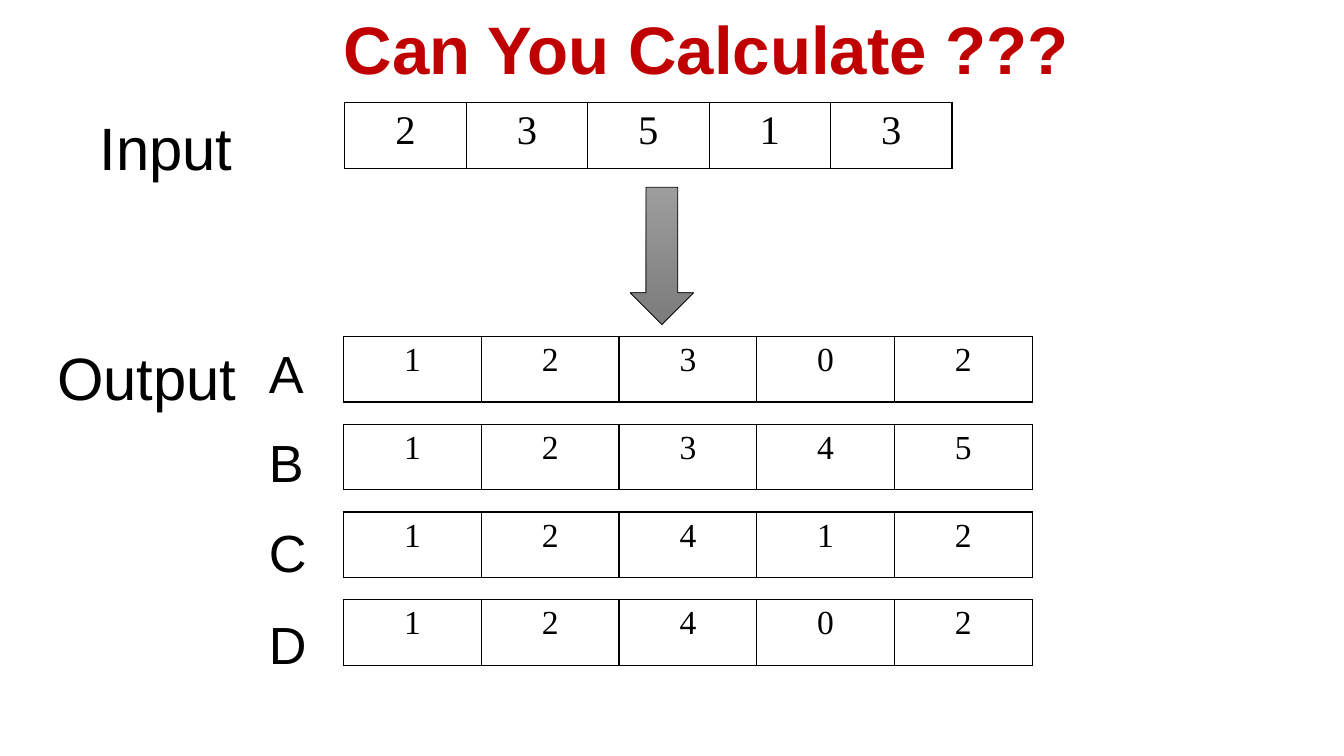
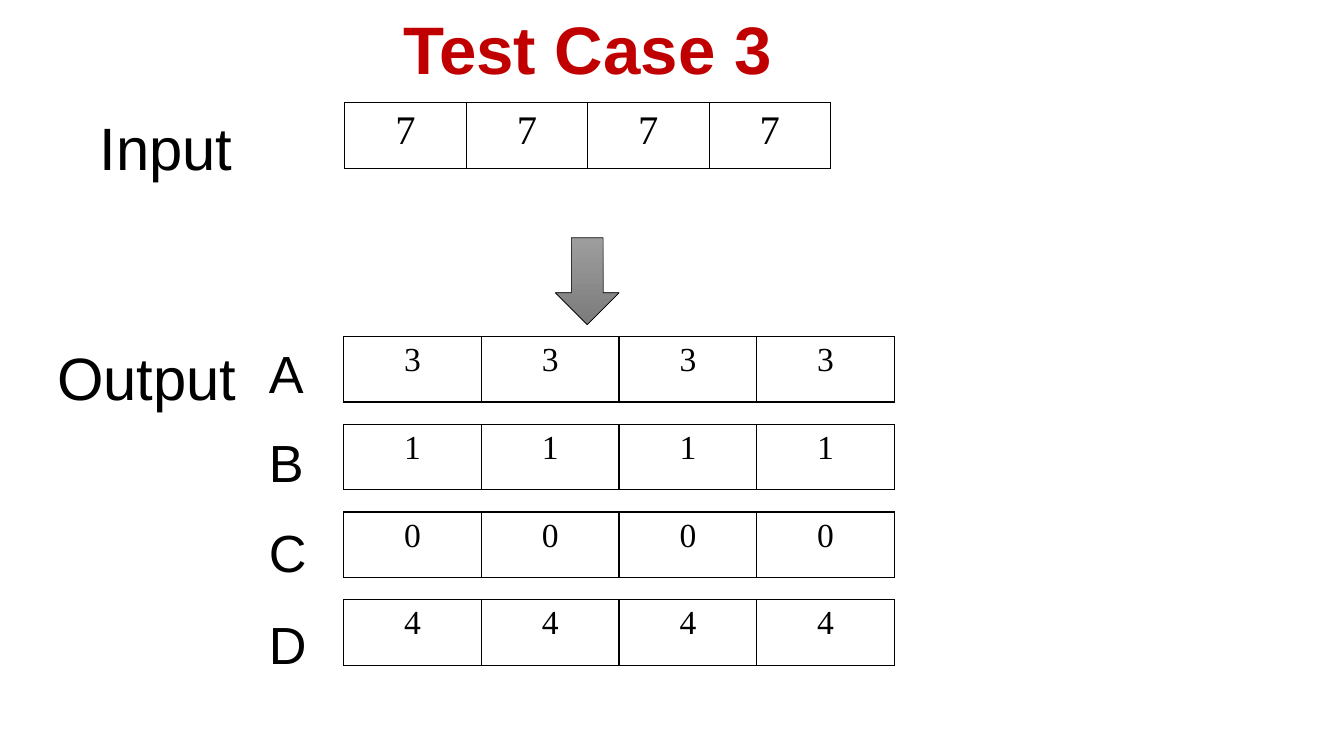
"""Build two quiz slides that show an input array and four candidate outputs."""
from lxml import etree
from pptx import Presentation
from pptx.dml.color import RGBColor
from pptx.enum import shapes, text
from pptx.oxml import ns
from pptx.util import Cm, Pt

BLACK = RGBColor(0x00, 0x00, 0x00)
RED = RGBColor(0xC0, 0x00, 0x00)
GREYS = RGBColor(0x9D, 0x9D, 0x9D), RGBColor(0x7C, 0x7C, 0x7C)

SLIDES = [
    dict(title="Can You Calculate ???", title_left=8.41, title_width=19,
         input=[2, 3, 5, 1, 3], arrow_left=15.88, arrow_top=4.72,
         outputs=[[1, 2, 3, 0, 2], [1, 2, 3, 4, 5],
                  [1, 2, 4, 1, 2], [1, 2, 4, 0, 2]]),
    dict(title="Test Case 3", title_left=9.91, title_width=9.91,
         input=[7] * 4, arrow_left=14, arrow_top=5.99,
         outputs=[[n] * 4 for n in (3, 1, 0, 4)]),
]
LABELS = [
    (["Input"], 2.26, 2.51, 3.89, 2.08, 42.7),
    (["Output"], 1.19, 8.31, 5.08, 2.08, 42.7),
    (["A", "B", "C", "D"], 6.53, 8.33, 1.47, 8.56, 37.3),
]
LETTER_GAPS = [0, 18.5, 20, 20.6]
ROW_HEIGHT = 1.65
INPUT_LEFT, INPUT_TOP, INPUT_CELL = 8.69, 2.59, 3.06
OUTPUT_LEFT, OUTPUT_TOP, OUTPUT_CELL = 8.66, 8.48, 3.47
OUTPUT_PITCH = 2.21
ARROW_WIDTH, ARROW_BOTTOM = 1.6, 8.18


def apply(obj, **values):
    for name, value in values.items():
        setattr(obj, name, value)


def format_text(sp, lines, size, color=BLACK, bold=False):
    tf = sp.text_frame
    tf.text = "\n".join(lines)
    apply(tf, word_wrap=False, auto_size=text.MSO_AUTO_SIZE.NONE,
          vertical_anchor=text.MSO_ANCHOR.TOP, margin_left=Cm(0.25),
          margin_right=Cm(0.25), margin_top=Cm(0.27), margin_bottom=Cm(0.07))
    for p, gap in zip(tf.paragraphs, LETTER_GAPS):
        apply(p, alignment=text.PP_ALIGN.LEFT, space_before=Pt(gap))
        apply(p.font, name="Arial", size=Pt(size), bold=bold)
        p.font.color.rgb = color


def add_border(cell):
    tc_pr = cell._tc.get_or_add_tcPr()
    for side in ("a:lnL", "a:lnR", "a:lnT", "a:lnB"):
        ln = etree.SubElement(tc_pr, ns.qn(side), w=str(Pt(1)))
        fill = etree.SubElement(ln, ns.qn("a:solidFill"))
        etree.SubElement(fill, ns.qn("a:srgbClr"), val=str(BLACK))


def add_array(s, values, left, top, cell_width, size):
    table = s.shapes.add_table(1, len(values), Cm(left), Cm(top),
                               Cm(cell_width * len(values)), Cm(ROW_HEIGHT)).table
    apply(table, first_row=False, horz_banding=False)
    for column, cell, value in zip(table.columns, table.rows[0].cells, values):
        column.width = Cm(cell_width)
        cell.text = str(value)
        add_border(cell)
        cell.fill.background()
        apply(cell, margin_left=Cm(0.34), margin_right=Cm(0.34),
              margin_top=Cm(0.13), margin_bottom=Cm(0.13))
        p = cell.text_frame.paragraphs[0]
        p.alignment = text.PP_ALIGN.CENTER
        apply(p.font, name="Times New Roman", size=Pt(size))
        p.font.color.rgb = BLACK


def add_arrow(s, left, top):
    sp = s.shapes.add_shape(shapes.MSO_SHAPE.DOWN_ARROW, Cm(left), Cm(top),
                            Cm(ARROW_WIDTH), Cm(ARROW_BOTTOM - top))
    sp.shadow.inherit = False
    sp.fill.gradient()
    sp.fill.gradient_angle = 270
    for stop, grey, position in zip(sp.fill.gradient_stops, GREYS, (0, 1)):
        stop.color.rgb = grey
        stop.position = position
    sp.line.color.rgb = BLACK
    sp.line.width = Pt(0.5)


def build_slide(prs, data):
    s = prs.slides.add_slide(prs.slide_layouts[5])
    title = s.shapes.title
    apply(title, left=Cm(data["title_left"]), top=Cm(-0.08),
          width=Cm(data["title_width"]), height=Cm(2.31))
    format_text(title, [data["title"]], 48, RED, True)
    for lines, left, top, width, height, size in LABELS:
        sp = s.shapes.add_textbox(Cm(left), Cm(top), Cm(width), Cm(height))
        format_text(sp, lines, size)
    add_array(s, data["input"], INPUT_LEFT, INPUT_TOP, INPUT_CELL, 29)
    add_arrow(s, data["arrow_left"], data["arrow_top"])
    for i, values in enumerate(data["outputs"]):
        add_array(s, values, OUTPUT_LEFT, OUTPUT_TOP + i * OUTPUT_PITCH,
                  OUTPUT_CELL, 24)


def main():
    prs = Presentation()
    apply(prs, slide_width=Cm(33.87), slide_height=Cm(19.05))
    for data in SLIDES:
        build_slide(prs, data)
    prs.save("out.pptx")


if __name__ == "__main__":
    main()
